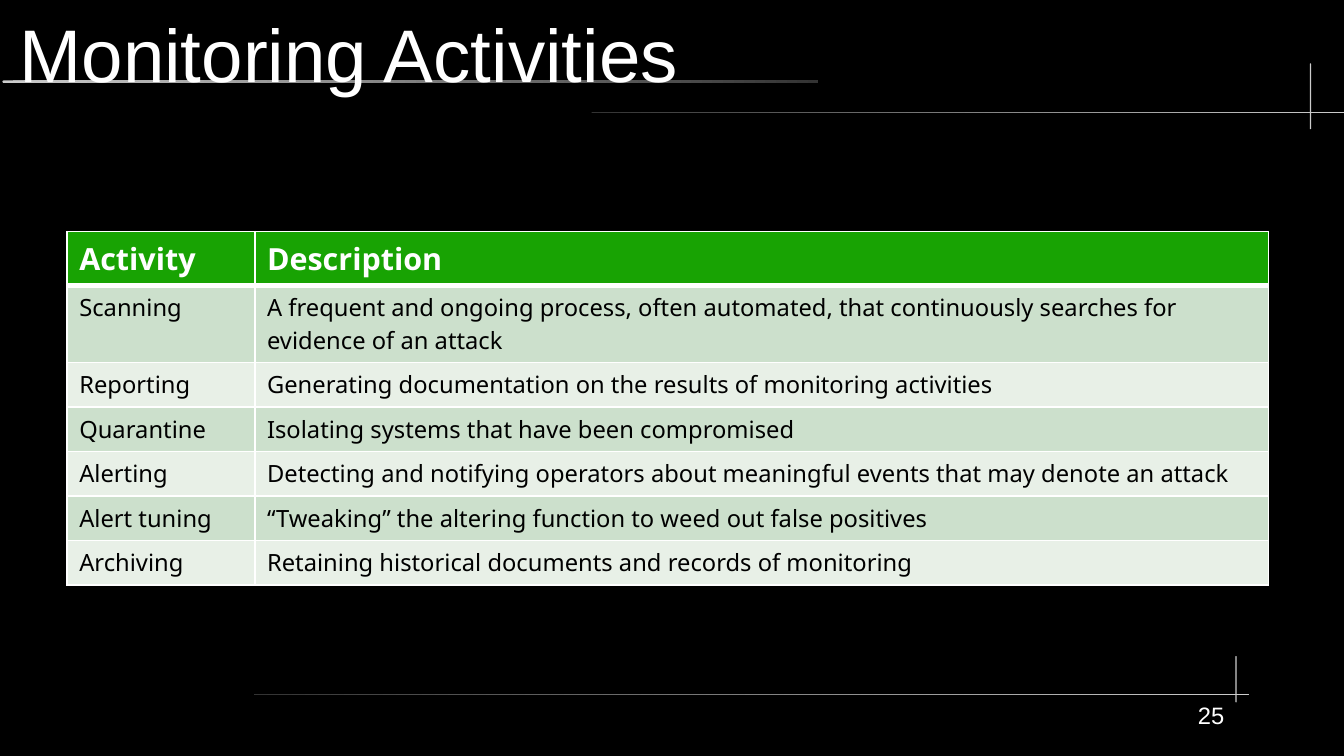
import pptx
import pptx.dml.color
import pptx.enum.shapes
import pptx.enum.text
import pptx.oxml
import pptx.oxml.ns
import pptx.util
from pptx.util import Inches

RGBColor = pptx.dml.color.RGBColor
BLACK = RGBColor(0x00, 0x00, 0x00)
WHITE = RGBColor(0xFF, 0xFF, 0xFF)
LIGHT_GREY = RGBColor(0xCC, 0xCC, 0xCC)
DARK_GREY = RGBColor(0x33, 0x33, 0x33)
GREEN = RGBColor(0x18, 0xA3, 0x03)
BAND_DARK = RGBColor(0xCC, 0xE0, 0xCC)
BAND_LIGHT = RGBColor(0xE8, 0xF0, 0xE7)


def set_border(cell, side, points):
    """Draw a white border; sides go in the order L, R, T, B, before the fill."""
    width = pptx.util.Pt(points)
    cell._tc.get_or_add_tcPr().append(pptx.oxml.parse_xml(
        f'<a:ln{side} {pptx.oxml.ns.nsdecls("a")} w="{width}"><a:solidFill>'
        f'<a:srgbClr val="{WHITE}"/></a:solidFill></a:ln{side}>'))


def format_frame(frame, anchor):
    frame.word_wrap = True
    frame.auto_size = pptx.enum.text.MSO_AUTO_SIZE.NONE
    frame.vertical_anchor = anchor
    frame.margin_left = frame.margin_right = 0
    frame.margin_top = frame.margin_bottom = 0


deck = pptx.Presentation()
deck.slide_width = Inches(11.02)
deck.slide_height = Inches(6.2)
page = deck.slides.add_slide(deck.slide_layouts[5])
page.background.fill.solid()
page.background.fill.fore_color.rgb = BLACK

# Decorative rules: left, top, width, height, start and end colour
rules = [
    (0.02, 0.66, 6.69, 0.02, LIGHT_GREY, DARK_GREY),
    (4.85, 0.92, 6.21, 0.01, DARK_GREY, LIGHT_GREY),
    (10.74, 0.52, 0.01, 0.54, LIGHT_GREY, LIGHT_GREY),
    (2.08, 5.69, 8.16, 0.01, DARK_GREY, LIGHT_GREY),
    (10.13, 5.38, 0.01, 0.38, LIGHT_GREY, LIGHT_GREY),
]
for left, top, width, height, start, end in rules:
    rule = page.shapes.add_shape(
        pptx.enum.shapes.MSO_SHAPE.ROUNDED_RECTANGLE,
        Inches(left), Inches(top), Inches(width), Inches(height))
    rule.adjustments[0] = 0.5
    rule.shadow.inherit = False
    rule.line.fill.background()
    if start == end:
        rule.fill.solid()
        rule.fill.fore_color.rgb = start
    else:
        rule.fill.gradient()
        rule.fill.gradient_angle = 0
        for stop, color in zip(rule.fill.gradient_stops, (start, end)):
            stop.color.rgb = color

# Title, brought in front of the rules
title = page.shapes.title
page.shapes.element.append(title.element)
title.left, title.top = Inches(0.16), Inches(0.08)
title.width, title.height = Inches(10.43), Inches(0.71)
format_frame(title.text_frame, pptx.enum.text.MSO_ANCHOR.MIDDLE)
title.text_frame.text = "Monitoring Activities"
para = title.text_frame.paragraphs[0]
para.alignment = pptx.enum.text.PP_ALIGN.LEFT
para.font.name = "Arial"
para.font.size = pptx.util.Pt(44)
para.font.color.rgb = WHITE

# Table of activities
activities = [
    ("Activity", "Description"),
    ("Scanning", "A frequent and ongoing process, often automated, that "
                 "continuously searches for evidence of an attack"),
    ("Reporting", "Generating documentation on the results of monitoring activities"),
    ("Quarantine", "Isolating systems that have been compromised"),
    ("Alerting", "Detecting and notifying operators about meaningful events "
                 "that may denote an attack"),
    ("Alert tuning", "“Tweaking” the altering function to weed out false positives"),
    ("Archiving", "Retaining historical documents and records of monitoring"),
]
row_heights = [0.44, 0.63] + [0.365] * 5
table = page.shapes.add_table(
    len(activities), 2, Inches(0.55), Inches(1.9), Inches(9.85), Inches(2.9)).table
table.columns[0].width = Inches(1.54)
table.columns[1].width = Inches(8.31)

for row, (texts, height) in enumerate(zip(activities, row_heights)):
    table.rows[row].height = Inches(height)
    is_header = row == 0
    band = GREEN if is_header else BAND_DARK if row % 2 else BAND_LIGHT
    for column, text in enumerate(texts):
        cell = table.cell(row, column)
        set_border(cell, "L", 0.96)
        set_border(cell, "R", 0.96)
        set_border(cell, "T", 3 if row == 1 else 0.96)
        set_border(cell, "B", 3 if is_header else 0.96)
        cell.fill.solid()
        cell.fill.fore_color.rgb = band
        cell.text = text
        para = cell.text_frame.paragraphs[0]
        para.font.name = "Noto Sans"
        para.font.size = pptx.util.Pt(18 if is_header else 14)
        para.font.bold = is_header
        para.font.color.rgb = WHITE if is_header else BLACK

# Page number
number = page.shapes.add_textbox(Inches(8.27), Inches(5.75), Inches(1.77), Inches(0.45))
format_frame(number.text_frame, pptx.enum.text.MSO_ANCHOR.TOP)
number.text_frame.text = "25"
para = number.text_frame.paragraphs[0]
para.alignment = pptx.enum.text.PP_ALIGN.RIGHT
para.font.name = "Arial"
para.font.size = pptx.util.Pt(14)
para.font.color.rgb = WHITE

deck.save("out.pptx")
